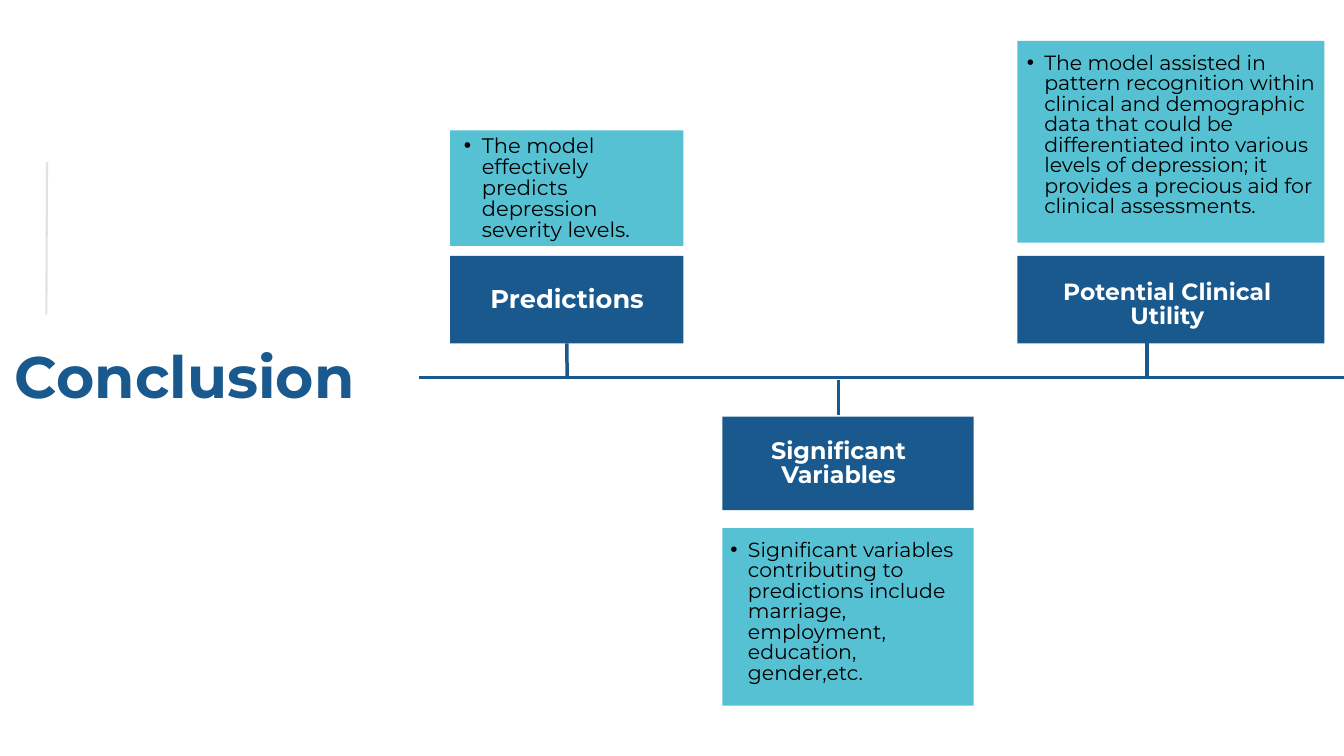
import pptx
import pptx.util
import pptx.dml.color
import pptx.enum.shapes
import pptx.enum.text
import pptx.oxml
import pptx.oxml.ns
import lxml.etree

NAVY, TEAL, WHITE, BLACK, GREY = "19598D", "57C1D4", "FFFFFF", "000000", "D9D9D9"

presentation = pptx.Presentation()
presentation.slide_width = pptx.util.Inches(20)
presentation.slide_height = pptx.util.Inches(11.25)
slide = presentation.slides.add_slide(presentation.slide_layouts[6])
column = presentation.slide_width / 20
row = presentation.slide_height / 11.25
color = pptx.dml.color.RGBColor.from_string
qn = pptx.oxml.ns.qn


def grid(*places):
    return [round(place * (row if index % 2 else column)) for index, place in enumerate(places)]


def add_text(place, text, size, text_color, bold, indent=None):
    box = slide.shapes.add_textbox(*grid(*place))
    frame_format = {
        "word_wrap": True,
        "auto_size": pptx.enum.text.MSO_AUTO_SIZE.SHAPE_TO_FIT_TEXT,
        "margin_left": 0, "margin_top": 0, "margin_right": 0, "margin_bottom": 0,
    }
    for name, value in frame_format.items():
        setattr(box.text_frame, name, value)
    paragraph = box.text_frame.paragraphs[0]
    paragraph.line_spacing = pptx.util.Pt(size)
    run = paragraph.add_run()
    run.text = text
    font_format = {"name": "Montserrat", "size": pptx.util.Pt(size), "bold": bold}
    for name, value in font_format.items():
        setattr(run.font, name, value)
    run.font.color.rgb = color(text_color)
    if indent is None:
        paragraph.alignment = pptx.enum.text.PP_ALIGN.CENTER
        return
    paragraph.level = 1
    properties = paragraph._p.get_or_add_pPr()
    properties.set("marL", str(round(indent * column)))
    properties.set("indent", str(round(-indent / 2 * column)))
    lxml.etree.SubElement(properties, qn("a:buFont")).set("typeface", "Arial")
    lxml.etree.SubElement(properties, qn("a:buChar")).set("char", "•")


lines = {
    "divider": ((0.69, 4.68, 0.7, 2.41), GREY, 2.25),
    "timeline": ((6.24, 5.62, 20, 5.62), NAVY, 3.75),
    "predictions": ((8.44, 5.11, 8.44, 5.62), NAVY, 3.75),
    "variables": ((12.48, 6.17, 12.48, 5.65), NAVY, 3.75),
    "utility": ((17.07, 5.6, 17.07, 5.08), NAVY, 3.75),
}
connectors = {}
for name, (ends, line_color, width) in lines.items():
    connector = slide.shapes.add_connector(pptx.enum.shapes.MSO_CONNECTOR.STRAIGHT, *grid(*ends))
    connector.line.width = pptx.util.Pt(width)
    connector.line.color.rgb = color(line_color)
    lxml.etree.SubElement(connector._element.spPr, qn("a:effectLst"))
    connectors[name] = connector
divider_color = connectors["divider"]._element.spPr.find(".//" + qn("a:srgbClr"))
lxml.etree.SubElement(divider_color, qn("a:alpha")).set("val", "75000")

add_text((0, 5.23, 5.5, 0.91), "Conclusion", 62.6, NAVY, True)

topics = [
    {
        "name": "predictions", "left": 6.7, "width": 3.47,
        "header": (3.81, 1.3), "body": (1.94, 1.72),
        "title": ((6.77, 4.28, 3.34, 0.4), "Predictions", 27.5),
        "detail": ((6.64, 2.03, 3.47, 1.58),
                   "The model effectively predicts depression severity levels.", 22.5),
        "indent": 0.53,
    },
    {
        "name": "variables", "left": 10.75, "width": 3.74,
        "header": (6.2, 1.39), "body": (7.86, 2.64),
        "title": ((10.81, 6.56, 3.34, 0.72), "Significant Variables", 25.5),
        "detail": ((10.61, 8.05, 3.88, 2.12),
                   "Significant variables contributing to predictions include marriage, "
                   "employment, education, gender,etc.", 21.9),
        "indent": 0.52,
    },
    {
        "name": "utility", "left": 15.14, "width": 4.57,
        "header": (3.81, 1.3), "body": (0.61, 3),
        "title": ((15.57, 4.2, 3.6, 0.71), "Potential Clinical Utility", 25.1),
        "detail": ((15.02, 0.8, 4.69, 2.43),
                   "The model assisted in pattern recognition within clinical and demographic "
                   "data that could be differentiated into various levels of depression; it "
                   "provides a precious aid for clinical assessments.", 22),
        "indent": 0.52,
    },
]
for topic in topics:
    for part, fill_color in (("header", NAVY), ("body", TEAL)):
        top, height = topic[part]
        shape = slide.shapes.add_shape(
            pptx.enum.shapes.MSO_SHAPE.RECTANGLE,
            *grid(topic["left"], top, topic["width"], height))
        shape.shadow.inherit = False
        shape.fill.solid()
        shape.fill.fore_color.rgb = color(fill_color)
        shape.line.fill.background()
        if topic["name"] == "predictions" and part == "header":
            connectors["predictions"].begin_connect(shape, 2)
    add_text(*topic["title"], WHITE, True)
    add_text(*topic["detail"], BLACK, False, topic["indent"])

presentation.save("out.pptx")
